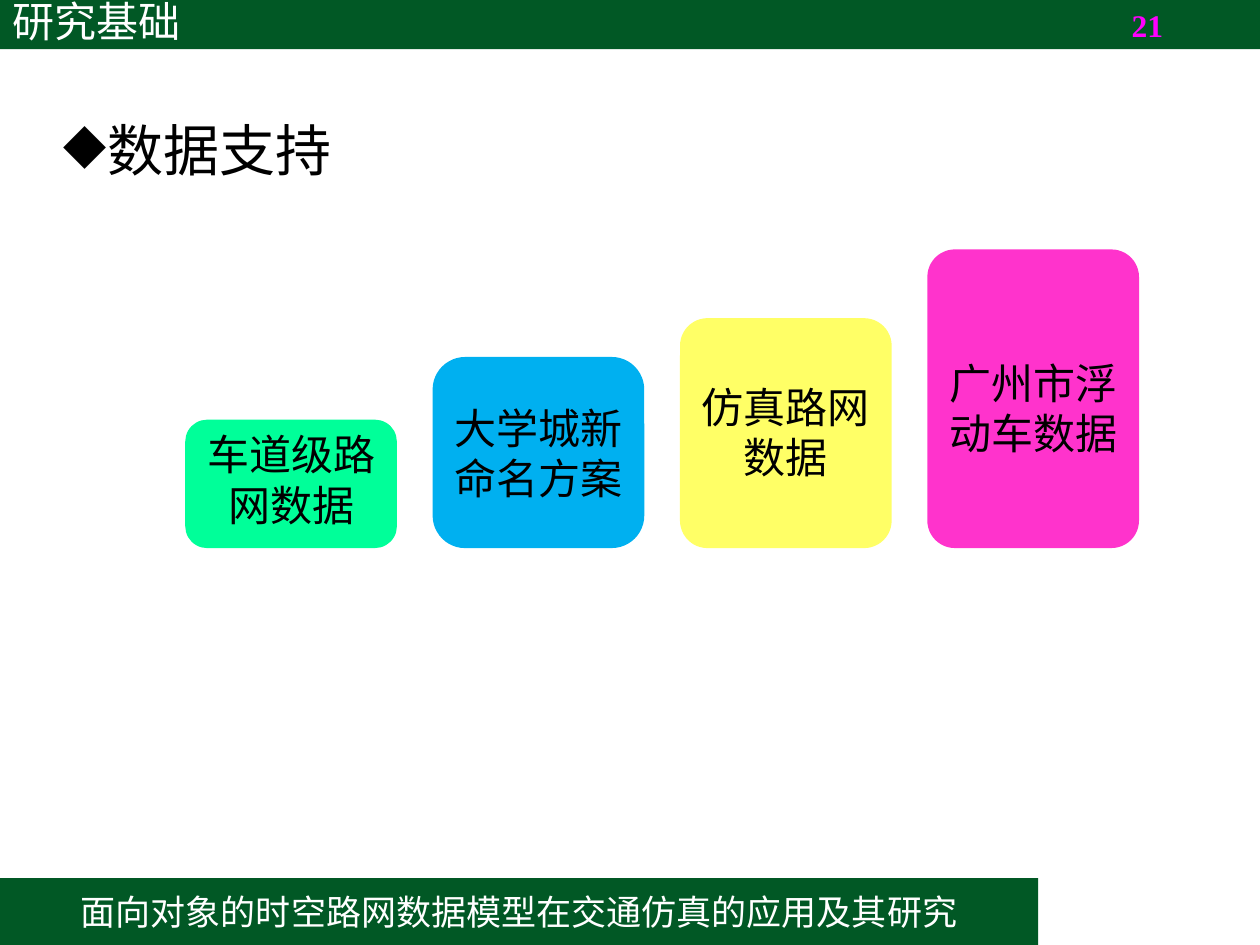
from collections import namedtuple

from lxml.etree import SubElement
from pptx import Presentation
from pptx.dml.color import RGBColor
from pptx.enum.shapes import MSO_SHAPE
from pptx.enum.text import MSO_ANCHOR, MSO_AUTO_SIZE, PP_ALIGN
from pptx.oxml.ns import qn
from pptx.util import Inches, Pt

Box = namedtuple("Box", "left top width height")

SLIDE = Box(0, 0, 10, 7.5)
HEADER = Box(0, -0.01, 10, 0.4)
FOOTER = Box(0, 6.97, 8.24, 0.53)
HEADING = Box(0.41, 0.87, 2.44, 0.64)
STEPS = Box(1.47, 1.98, 7.57, 2.37)

CJK = "Noto Sans CJK JP"
GREEN, WHITE, BLACK, MAGENTA = "015825", "FFFFFF", "000000", "FF00FF"

# label, fill, height share, label top share, corner radius share
DATA_STEPS = [
    ("车道级路网数据", "00FF99", 0.43, 0.58, 0.17),
    ("大学城新命名方案", "00B0F0", 0.64, 0.49, 0.17),
    ("仿真路网数据", "FFFF66", 0.77, 0.42, 0.13),
    ("广州市浮动车数据", "FF33CC", 1, 0.34, 0.13),
]
STEP_WIDTH = 1.68
LABEL_HEIGHT = 0.91


def emu(box):
    return [Inches(length) for length in box]


def paint(area, color):
    area.fill.solid()
    area.fill.fore_color.rgb = RGBColor.from_string(color)


def write(frame, text, size, color, align=PP_ALIGN.LEFT, font=CJK):
    frame.text = text
    paragraph = frame.paragraphs[0]
    paragraph.alignment = align
    paragraph.font.size = Pt(size)
    paragraph.font.name = font
    paragraph.font.color.rgb = RGBColor.from_string(color)
    defaults = paragraph._p.pPr.find(qn("a:defRPr"))
    SubElement(defaults, qn("a:ea")).set("typeface", font)
    return paragraph


def add_block(slide, kind, box, color):
    block = slide.shapes.add_shape(kind, *emu(box))
    block.shadow.inherit = False
    paint(block, color)
    block.line.fill.background()
    return block


def add_label(slide, box, wrap=True):
    label = slide.shapes.add_textbox(*emu(box)).text_frame
    label.word_wrap = wrap
    return label


def add_header(slide, box, text, number):
    title = slide.shapes.title
    title.left, title.top, title.width, title.height = emu(box)
    paint(title, GREEN)
    title.text_frame.auto_size = MSO_AUTO_SIZE.NONE
    title.text_frame.vertical_anchor = MSO_ANCHOR.MIDDLE
    write(title.text_frame, text, 24, WHITE).line_spacing = 0.9

    number_box = Box(box.left + 7.08, 0, 2.25, box.height)
    page = add_label(slide, number_box)
    page.vertical_anchor = MSO_ANCHOR.MIDDLE
    write(page, number, 18, MAGENTA, PP_ALIGN.RIGHT, "Times New Roman").font.bold = True


def add_footer(slide, box, text):
    bar = add_block(slide, MSO_SHAPE.RECTANGLE, box, GREEN).text_frame
    bar.word_wrap = True
    bar.vertical_anchor = MSO_ANCHOR.MIDDLE
    write(bar, text, 20, WHITE, PP_ALIGN.CENTER)


def add_heading(slide, box, text):
    heading = add_label(slide, box, wrap=False)
    heading.auto_size = MSO_AUTO_SIZE.SHAPE_TO_FIT_TEXT
    properties = write(heading, text, 32, BLACK)._p.pPr
    properties.set("marL", str(Inches(0.31)))
    properties.set("indent", str(-Inches(0.31)))
    bullet = properties.makeelement(qn("a:buChar"), {"char": "◆"})
    properties.find(qn("a:defRPr")).addprevious(bullet)


def add_steps(slide, box, steps):
    """Stand the data blocks on the box's bottom edge at an even pitch."""
    pitch = (box.width - STEP_WIDTH) / (len(steps) - 1)
    for column, (text, color, share, label_share, radius) in enumerate(steps):
        left = box.left + column * pitch
        height = box.height * share
        top = box.top + box.height - height
        block = add_block(slide, MSO_SHAPE.ROUNDED_RECTANGLE,
                          Box(left, top, STEP_WIDTH, height), color)
        block.adjustments[0] = radius
        label_top = box.top + box.height * label_share
        label = add_label(slide, Box(left, label_top, STEP_WIDTH, LABEL_HEIGHT))
        label.auto_size = MSO_AUTO_SIZE.SHAPE_TO_FIT_TEXT
        write(label, text, 24, BLACK, PP_ALIGN.CENTER)


def main():
    deck = Presentation()
    deck.slide_width, deck.slide_height = Inches(SLIDE.width), Inches(SLIDE.height)
    slide = deck.slides.add_slide(deck.slide_layouts.get_by_name("Title Only"))
    paint(slide.background, WHITE)
    add_footer(slide, FOOTER, "面向对象的时空路网数据模型在交通仿真的应用及其研究")
    add_header(slide, HEADER, "研究基础", "21")
    add_heading(slide, HEADING, "数据支持")
    add_steps(slide, STEPS, DATA_STEPS)
    deck.save("out.pptx")


if __name__ == "__main__":
    main()
